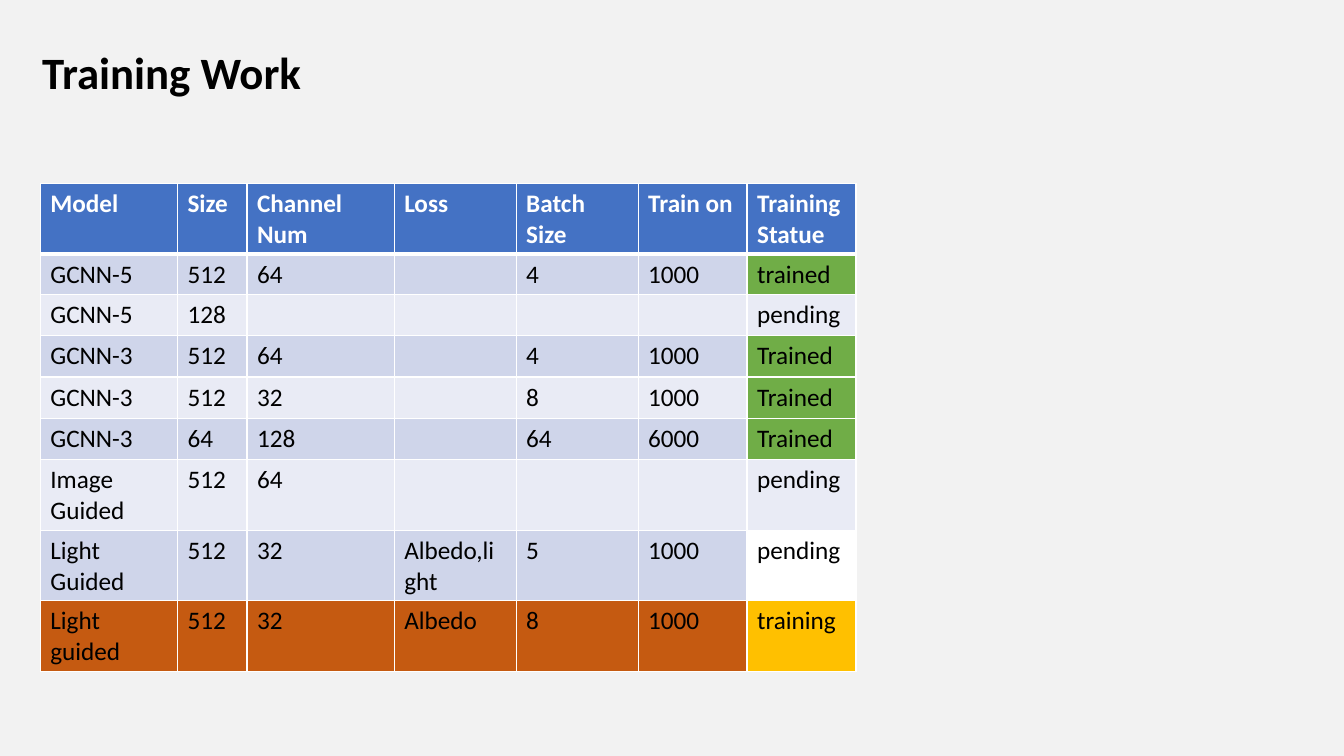
from lxml import etree
from pptx import Presentation
from pptx.dml.color import RGBColor
from pptx.enum.text import MSO_AUTO_SIZE
from pptx.oxml.ns import qn
from pptx.util import Inches, Pt

FIT_SHAPE = MSO_AUTO_SIZE.SHAPE_TO_FIT_TEXT
BLACK = RGBColor(0x00, 0x00, 0x00)
WHITE = RGBColor(0xFF, 0xFF, 0xFF)
BACKGROUND = RGBColor(0xF2, 0xF2, 0xF2)
HEADER_BLUE = RGBColor(0x44, 0x72, 0xC4)
BANDS = (RGBColor(0xCF, 0xD5, 0xEA), RGBColor(0xE9, 0xEB, 0xF5))
GREEN = RGBColor(0x70, 0xAD, 0x47)
ORANGE = RGBColor(0xC5, 0x5A, 0x11)
AMBER = RGBColor(0xFF, 0xC0, 0x00)

TITLE_FORMAT = {"name": "Calibri", "size": Pt(32), "bold": True}
HEADER_FORMAT = {"name": "Calibri", "size": Pt(18), "bold": True}
BODY_FORMAT = {"name": "Calibri", "size": Pt(18), "bold": False}

COLUMN_WIDTHS = (1.36, 0.69, 1.46, 1.21, 1.21, 1.08, 1.08)
ROW_HEIGHTS = (0.7, 0.39, 0.41, 0.41, 0.41, 0.41, 0.7, 0.7, 0.7)
HEADERS = ("Model", "Size", "Channel Num", "Loss", "Batch Size", "Train on",
           "Training Statue")
RUNS = (
    ("GCNN-5", "512", "64", "", "4", "1000", "trained"),
    ("GCNN-5", "128", "", "", "", "", "pending"),
    ("GCNN-3", "512", "64", "", "4", "1000", "Trained"),
    ("GCNN-3", "512", "32", "", "8", "1000", "Trained"),
    ("GCNN-3", "64", "128", "", "64", "6000", "Trained"),
    ("Image Guided", "512", "64", "", "", "", "pending"),
    ("Light Guided", "512", "32", "Albedo,light", "5", "1000", "pending"),
    ("Light guided", "512", "32", "Albedo", "8", "1000", "training"),
)
STATUS_COLUMN = len(HEADERS) - 1
STATUS_FILLS = {"trained": GREEN, "training": AMBER}
UNBANDED_PENDING_ROW = 7


def format_paragraph(paragraph, font_format, color):
    """Apply font settings and a colour to a paragraph."""
    for attribute, value in font_format.items():
        setattr(paragraph.font, attribute, value)
    paragraph.font.color.rgb = color


def add_title(slide, title):
    """Add the slide heading."""
    heading = slide.shapes.add_textbox(Inches(0.32), Inches(0.39),
                                       Inches(4.65), Inches(0.64))
    frame = heading.text_frame
    frame.word_wrap = True
    frame.auto_size = FIT_SHAPE
    frame.text = title
    format_paragraph(frame.paragraphs[0], TITLE_FORMAT, BLACK)


def set_borders(cell, top, bottom):
    """Draw white cell borders with the given top and bottom widths in points."""
    properties = cell._tc.get_or_add_tcPr()
    for side, width in (("L", 1), ("R", 1), ("T", top), ("B", bottom)):
        line = etree.SubElement(properties, qn(f"a:ln{side}"), w=str(Pt(width)))
        fill = etree.SubElement(line, qn("a:solidFill"))
        etree.SubElement(fill, qn("a:srgbClr"), val=str(WHITE))


def cell_fill(row, column, status):
    """Return the fill for a cell from its band and training status."""
    if row == 0:
        return HEADER_BLUE
    if column == STATUS_COLUMN:
        if row == UNBANDED_PENDING_ROW:
            return WHITE
        if status.lower() in STATUS_FILLS:
            return STATUS_FILLS[status.lower()]
    return ORANGE if status == "training" else BANDS[(row - 1) % 2]


def add_training_table(slide):
    """Add the table of training runs."""
    rows = (HEADERS, *RUNS)
    table = slide.shapes.add_table(
        len(rows), len(HEADERS), Inches(0.4), Inches(1.82),
        Inches(sum(COLUMN_WIDTHS)), Inches(sum(ROW_HEIGHTS))).table
    for column, width in zip(table.columns, COLUMN_WIDTHS):
        column.width = Inches(width)
    for row, height in zip(table.rows, ROW_HEIGHTS):
        row.height = Inches(height)
    for row, values in enumerate(rows):
        font_format, color = (BODY_FORMAT, BLACK) if row else (HEADER_FORMAT, WHITE)
        for column, value in enumerate(values):
            cell = table.cell(row, column)
            cell.text = value
            format_paragraph(cell.text_frame.paragraphs[0], font_format, color)
            set_borders(cell, 3 if row == 1 else 1, 3 if row == 0 else 1)
            cell.fill.solid()
            cell.fill.fore_color.rgb = cell_fill(row, column, values[-1])


def main():
    """Build and save the training overview slide."""
    presentation = Presentation()
    presentation.slide_width = Inches(13.33)
    presentation.slide_height = Inches(7.5)
    slide = presentation.slides.add_slide(presentation.slide_layouts[6])
    slide.background.fill.solid()
    slide.background.fill.fore_color.rgb = BACKGROUND
    add_title(slide, "Training Work")
    add_training_table(slide)
    presentation.save("out.pptx")


if __name__ == "__main__":
    main()
